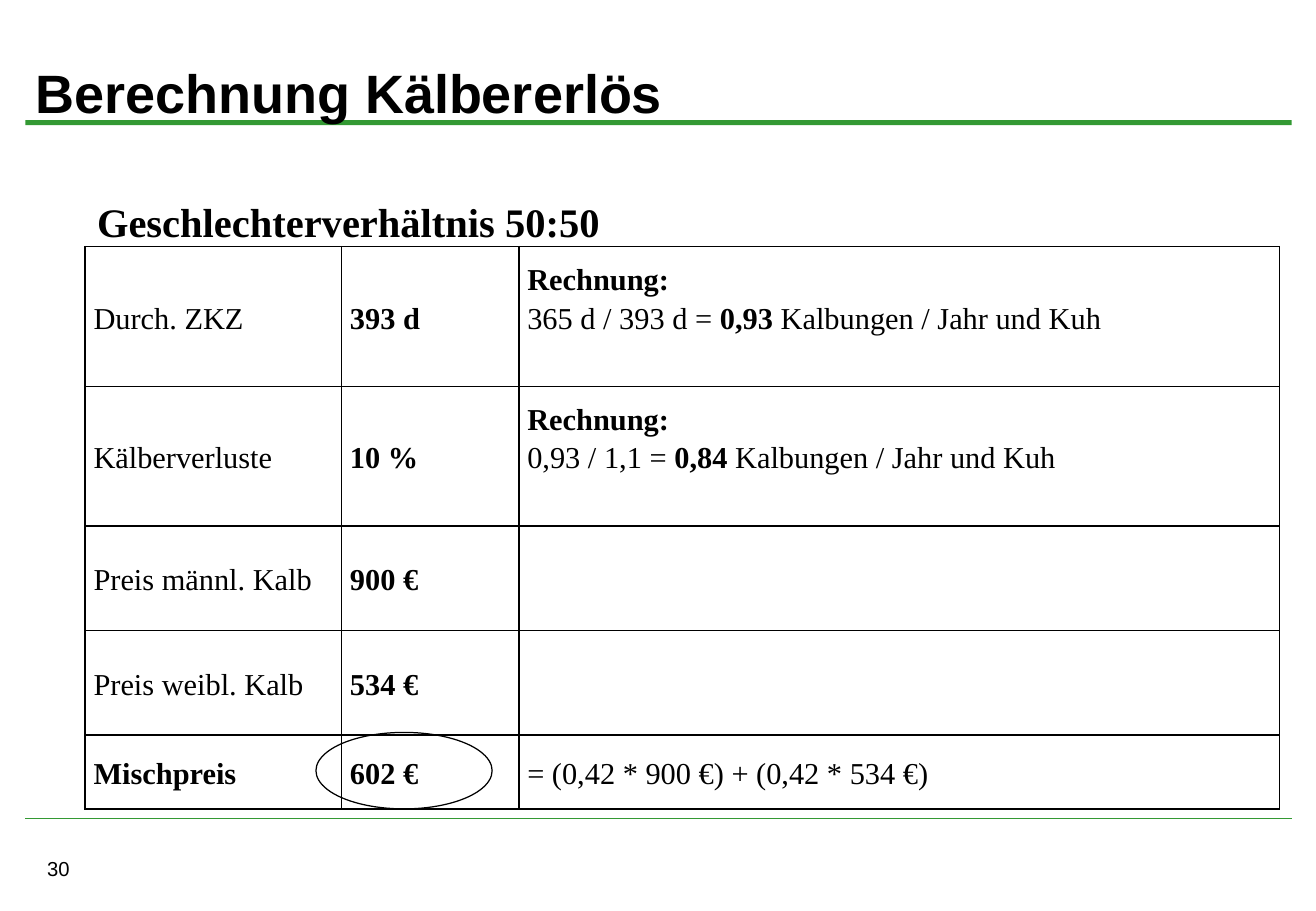
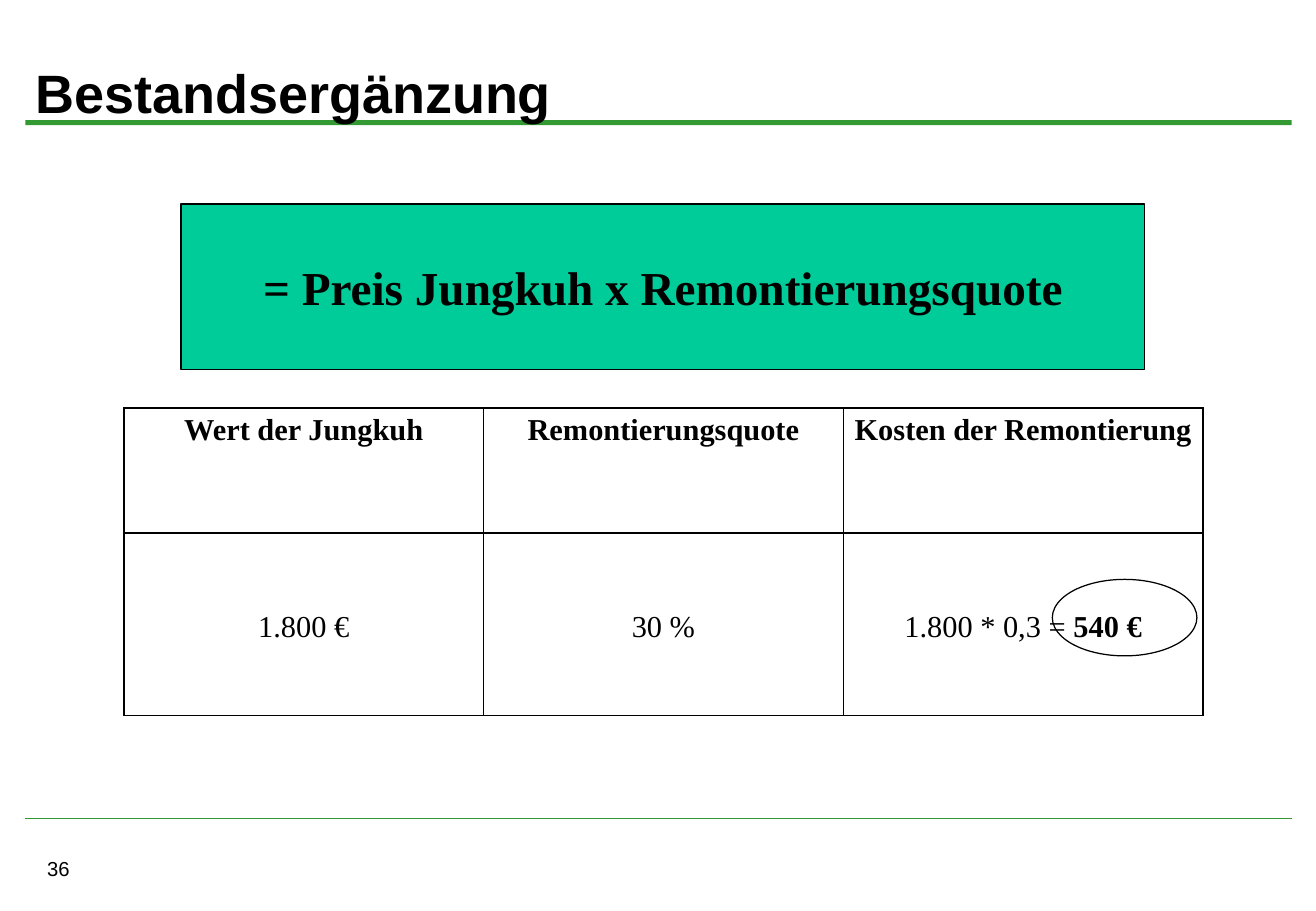
from dataclasses import dataclass
from typing import NamedTuple

from lxml.etree import SubElement
from pptx import Presentation
from pptx.dml.color import RGBColor
from pptx.enum.shapes import MSO_CONNECTOR, MSO_SHAPE
from pptx.enum.text import MSO_ANCHOR, PP_ALIGN
from pptx.oxml.ns import qn
from pptx.util import Inches, Pt

COLORS = {"text": "000000", "rule": "339933", "formula": "00CC99", "paper": "FFFFFF"}
SERIF = "Times New Roman"
FORMATS = {
    "title": {"name": "Arial", "size": Pt(32), "bold": True},
    "number": {"name": "Arial", "size": Pt(12), "bold": False},
    "heading": {"name": SERIF, "size": Pt(24), "bold": True},
    "formula": {"name": SERIF, "size": Pt(28), "bold": True},
    "plain": {"name": SERIF, "size": Pt(18), "bold": False},
    "strong": {"name": SERIF, "size": Pt(18), "bold": True},
}


class Box(NamedTuple):
    left: float
    top: float
    width: float
    height: float

    def inches(self) -> list:
        return [Inches(length) for length in self]


class Piece(NamedTuple):
    text: str
    style: str = "plain"


@dataclass
class Cell:
    lines: list[list[Piece]]
    anchor: MSO_ANCHOR = MSO_ANCHOR.MIDDLE
    bottom: float = 0


@dataclass
class Grid:
    left: float
    top: float
    columns: list[float]
    rows: list[float]
    cells: list[list[Cell]]
    align: PP_ALIGN = PP_ALIGN.LEFT


def color(key: str) -> RGBColor:
    return RGBColor.from_string(COLORS[key])


def write(frame, lines: list[list[Piece]], align=PP_ALIGN.LEFT, spacing: float = 1.0) -> None:
    for index, line in enumerate(lines):
        paragraph = frame.add_paragraph() if index else frame.paragraphs[0]
        paragraph.alignment = align
        paragraph.line_spacing = spacing
        for piece in line:
            run = paragraph.add_run()
            run.text = piece.text
            for attribute, value in FORMATS[piece.style].items():
                setattr(run.font, attribute, value)
            run.font.color.rgb = color("text")


def add_label(slide, box: Box, piece: Piece, anchor=MSO_ANCHOR.MIDDLE) -> None:
    frame = slide.shapes.add_textbox(*box.inches()).text_frame
    frame.word_wrap = True
    frame.vertical_anchor = anchor
    write(frame, [[piece]])


def add_figure(slide, preset, box: Box, fill: str = "", line: str = ""):
    figure = slide.shapes.add_shape(preset, *box.inches())
    figure.shadow.inherit = False
    if fill:
        figure.fill.solid()
        figure.fill.fore_color.rgb = color(fill)
    else:
        figure.fill.background()
    if line:
        figure.line.color.rgb = color(line)
        figure.line.width = Pt(0.75)
    else:
        figure.line.fill.background()
    return figure


def add_borders(cell) -> None:
    properties = cell._tc.get_or_add_tcPr()
    for side in ("a:lnL", "a:lnR", "a:lnT", "a:lnB"):
        border = SubElement(properties, qn(side), w=str(Pt(1)))
        fill = SubElement(border, qn("a:solidFill"))
        SubElement(fill, qn("a:srgbClr"), val=COLORS["text"])


def add_grid(slide, grid: Grid) -> None:
    area = Box(grid.left, grid.top, sum(grid.columns), sum(grid.rows))
    table = slide.shapes.add_table(len(grid.rows), len(grid.columns), *area.inches()).table
    table.first_row = table.horz_banding = False
    for column, width in zip(table.columns, grid.columns):
        column.width = Inches(width)
    for row, height, contents in zip(table.rows, grid.rows, grid.cells):
        row.height = Inches(height)
        for cell, content in zip(row.cells, contents):
            add_borders(cell)
            cell.fill.background()
            layout = {
                "margin_left": Inches(0.07),
                "margin_right": Inches(0.07),
                "margin_top": 0,
                "margin_bottom": Inches(content.bottom),
                "vertical_anchor": content.anchor,
            }
            for attribute, value in layout.items():
                setattr(cell, attribute, value)
            write(cell.text_frame, content.lines, grid.align, 1.15)


def add_page(deck, title: str, number: str):
    slide = deck.slides.add_slide(deck.slide_layouts[6])
    slide.background.fill.solid()
    slide.background.fill.fore_color.rgb = color("paper")
    add_figure(slide, MSO_SHAPE.RECTANGLE, Box(0.21, 0.99, 10.42, 0.04), fill="rule")
    footer_rule = slide.shapes.add_connector(
        MSO_CONNECTOR.STRAIGHT, Inches(0.21), Inches(6.74), Inches(10.63), Inches(6.74))
    footer_rule.line.color.rgb = color("rule")
    footer_rule.line.width = Pt(0.75)
    SubElement(footer_rule._element.spPr, qn("a:effectLst"))
    add_label(slide, Box(0.29, 7, 2.55, 0.3), Piece(number, "number"), MSO_ANCHOR.TOP)
    add_label(slide, Box(0.19, 0.32, 10.45, 0.87), Piece(title, "title"))
    return slide


def single(text: str, style: str = "plain", anchor=MSO_ANCHOR.MIDDLE) -> Cell:
    return Cell([[Piece(text, style)]], anchor)


def calculation(terms: str, result: str) -> Cell:
    return Cell([
        [Piece("Rechnung:", "strong")],
        [Piece(terms), Piece(result, "strong"), Piece("Kalbungen / Jahr und Kuh")],
    ], bottom=0.32)


def build_calf_revenue(deck) -> None:
    slide = add_page(deck, "Berechnung Kälbererlös", "30")
    cells = [
        [single("Durch. ZKZ"), single("393 d", "strong"),
         calculation("365 d / 393 d = ", "0,93 ")],
        [single("Kälberverluste"), single("10 %", "strong"),
         calculation("0,93 / 1,1 = ", "0,84 ")],
        [single("Preis männl. Kalb"), single("900 €", "strong"), Cell([])],
        [single("Preis weibl. Kalb"), single("534 €", "strong"), Cell([])],
        [single("Mischpreis", "strong"), single("602 €", "strong"),
         single("= (0,42 * 900 €) + (0,42 * 534 €)")],
    ]
    add_grid(slide, Grid(0.7, 2.03, [2.11, 1.46, 6.26], [1.15, 1.15, 0.86, 0.86, 0.61], cells))
    add_label(slide, Box(0.7, 1.57, 4.78, 0.5), Piece("Geschlechterverhältnis 50:50", "heading"))
    add_figure(slide, MSO_SHAPE.OVAL, Box(2.6, 6.03, 1.45, 0.63), line="text")


def build_herd_replacement(deck) -> None:
    slide = add_page(deck, "Bestandsergänzung", "36")
    headers = ["Wert der Jungkuh", "Remontierungsquote", "Kosten der Remontierung"]
    cells = [
        [single(header, "strong", MSO_ANCHOR.TOP) for header in headers],
        [single("1.800 €"), single("30 %"),
         Cell([[Piece("1.800 * 0,3 = "), Piece("540 €", "strong")]])],
    ]
    add_grid(slide, Grid(1.02, 3.36, [2.96] * 3, [1.03, 1.5], cells, PP_ALIGN.CENTER))
    formula = add_figure(slide, MSO_SHAPE.RECTANGLE, Box(1.49, 1.68, 7.93, 1.36),
                         fill="formula", line="text")
    formula.text_frame.vertical_anchor = MSO_ANCHOR.MIDDLE
    write(formula.text_frame, [[Piece("= Preis Jungkuh x Remontierungsquote", "formula")]],
          PP_ALIGN.CENTER)
    add_figure(slide, MSO_SHAPE.OVAL, Box(8.66, 4.77, 1.19, 0.63), line="text")


def main() -> None:
    deck = Presentation()
    deck.slide_width, deck.slide_height = Inches(10.83), Inches(7.5)
    build_calf_revenue(deck)
    build_herd_replacement(deck)
    deck.save("out.pptx")


if __name__ == "__main__":
    main()
